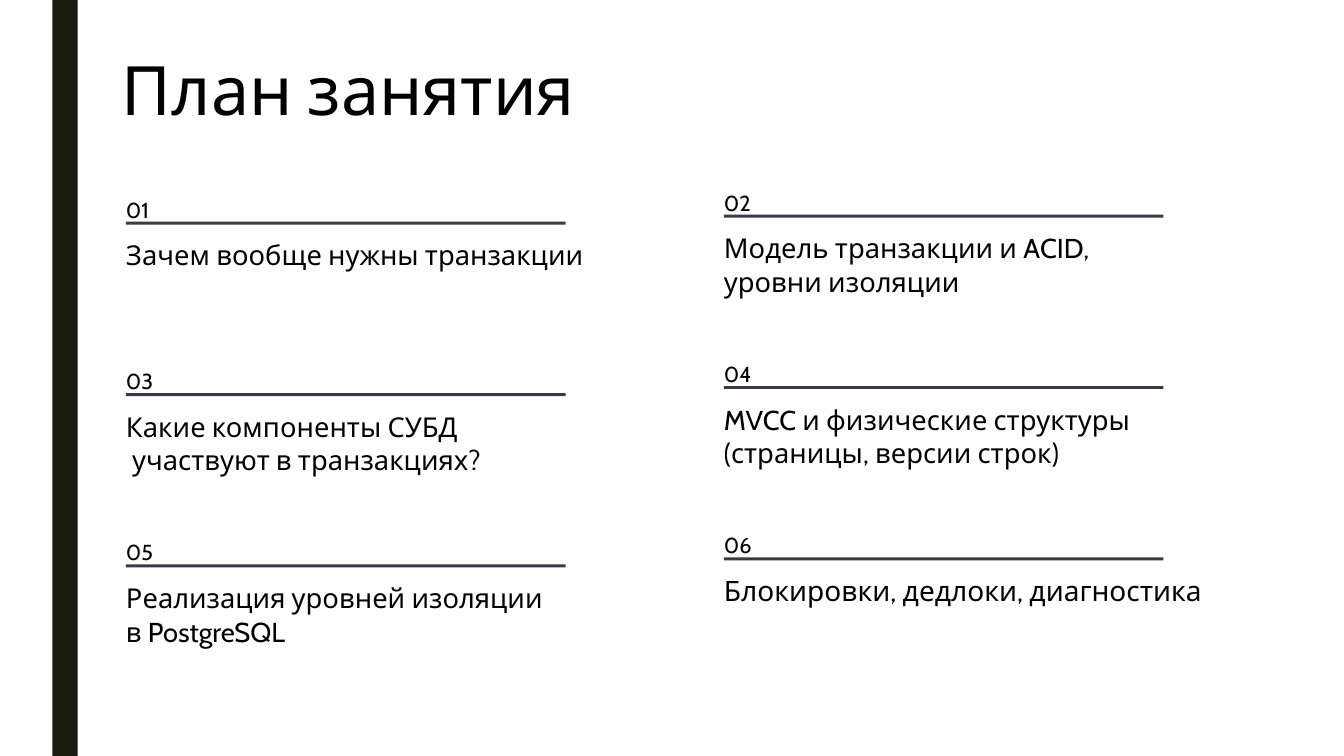
from pptx import Presentation
from pptx.dml.color import RGBColor
from pptx.enum.shapes import MSO_SHAPE
from pptx.enum.text import MSO_ANCHOR, PP_ALIGN
from pptx.util import Inches, Pt

RECTANGLE = MSO_SHAPE.RECTANGLE
MIDDLE = MSO_ANCHOR.MIDDLE
TOP = MSO_ANCHOR.TOP
LEFT = PP_ALIGN.LEFT

FONT = "Cabin"
TEXT_COLOR = "000000"
BAR_COLOR = "191B0E"
RULE_COLOR = "373B48"
TITLE_ONLY = 5

COLUMNS = [(1.25, 1.86), (7.18, 1.79)]
ROW_STEP = 1.7
TOPICS = [
    (["Зачем вообще нужны транзакции"], 19.5, Pt(24)),
    (["Модель транзакции и ACID,", "уровни изоляции"], 19.5, Pt(24)),
    (["Какие компоненты СУБД", " участвуют в транзакциях?"], 19.5, Pt(24)),
    (["MVCC и физические структуры", "(страницы, версии строк)"], 19.5, Pt(24)),
    (["Реализация уровней изоляции", "в PostgreSQL"], 19.5, Pt(24)),
    (["Блокировки, дедлоки, диагностика"], 20, 1.0),
]


def add_bar(left, top, width, height, color):
    shape = slide.shapes.add_shape(
        RECTANGLE, Inches(left), Inches(top), Inches(width), Inches(height))
    shape.shadow.inherit = False
    shape.fill.solid()
    shape.fill.fore_color.rgb = RGBColor.from_string(color)
    shape.line.fill.background()


def write_lines(frame, lines, size, spacing):
    frame.word_wrap = True
    for index, line in enumerate(lines):
        paragraph = frame.add_paragraph() if index else frame.paragraphs[0]
        paragraph.alignment = LEFT
        paragraph.line_spacing = spacing
        run = paragraph.add_run()
        run.text = line
        run.font.name = FONT
        run.font.size = Pt(size)
        run.font.color.rgb = RGBColor.from_string(TEXT_COLOR)


presentation = Presentation()
presentation.slide_width = Inches(13.33)
presentation.slide_height = Inches(7.5)
slide = presentation.slides.add_slide(presentation.slide_layouts[TITLE_ONLY])

add_bar(0.52, 0, 0.25, 7.5, BAR_COLOR)

title = slide.shapes.title
title.left, title.top = Inches(1.11), Inches(0.51)
title.width, title.height = Inches(4.72), Inches(0.84)
title.text_frame.vertical_anchor = MIDDLE
write_lines(title.text_frame, ["План занятия"], 48.6, 0.89)

for index, (lines, size, spacing) in enumerate(TOPICS):
    row, column = divmod(index, 2)
    left, first_top = COLUMNS[column]
    top = first_top + row * ROW_STEP
    add_bar(left, top + 0.34, 4.36, 0.03, RULE_COLOR)
    texts = [
        (top, 0.4, 0.27, [f"{index + 1:02}"], 15.5, Pt(25)),
        (top + 0.5, 4.9, 0.34 * len(lines), lines, size, spacing),
    ]
    for text_top, width, height, content, text_size, text_spacing in texts:
        box = slide.shapes.add_textbox(
            Inches(left), Inches(text_top), Inches(width), Inches(height))
        frame = box.text_frame
        frame.margin_left = frame.margin_right = Inches(0)
        frame.margin_top = frame.margin_bottom = Inches(0)
        frame.vertical_anchor = TOP
        write_lines(frame, content, text_size, text_spacing)

presentation.save("out.pptx")
